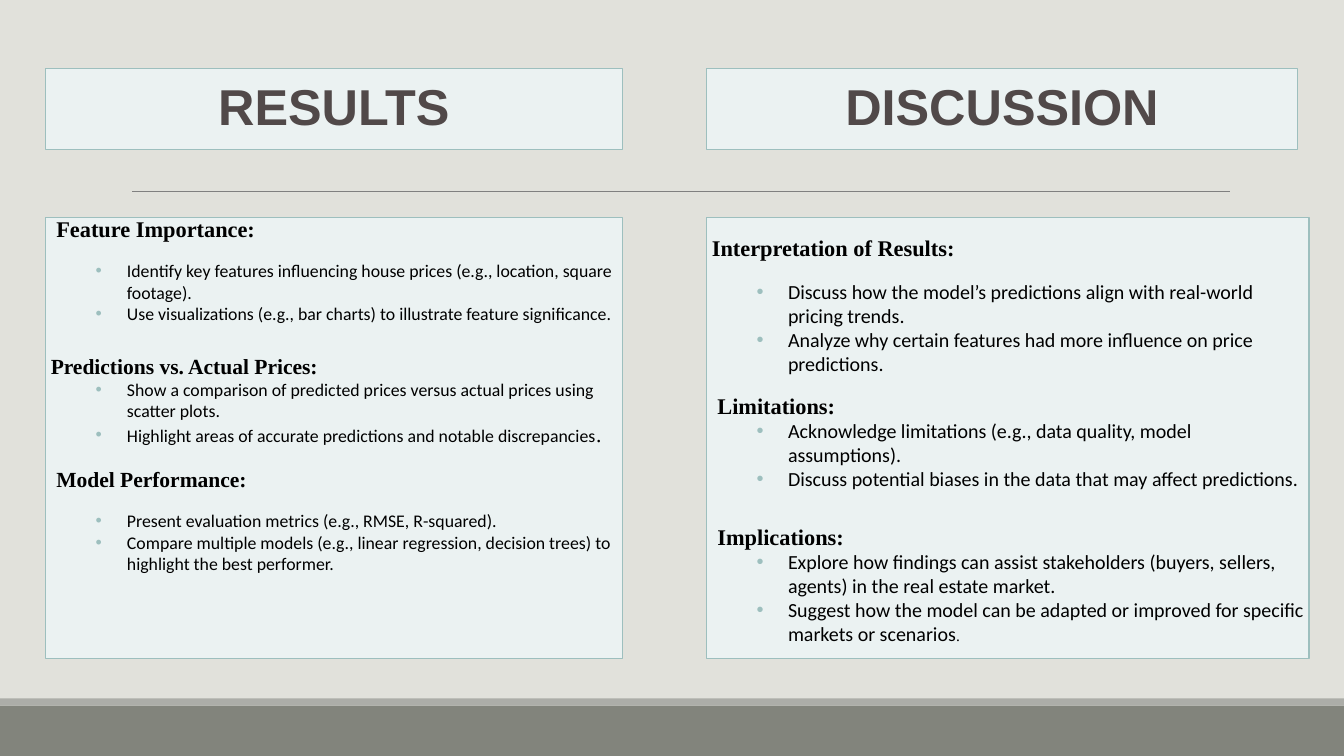
from lxml.etree import SubElement
from pptx import Presentation
from pptx.dml.color import RGBColor
from pptx.enum.shapes import MSO_CONNECTOR, MSO_SHAPE
from pptx.enum.text import MSO_ANCHOR, PP_ALIGN
from pptx.oxml.ns import qn
from pptx.util import Cm, Pt


def color(value):
    return RGBColor.from_string(value)


def add_text(paragraph, text, font="Calibri", size=12.7, ink="000000", bold=False,
             align=PP_ALIGN.LEFT, spacing=1.0, before=0, after=0,
             margin=0, indent=0, bullet=None):
    paragraph.alignment = align
    paragraph.line_spacing = spacing
    paragraph.space_before = Pt(before)
    paragraph.space_after = Pt(after)
    run = paragraph.add_run()
    run.text = text
    run.font.name = font
    run.font.size = Pt(size)
    run.font.bold = bold
    run.font.color.rgb = color(ink)
    properties = paragraph._p.get_or_add_pPr()
    properties.set("marL", str(Cm(margin)))
    properties.set("indent", str(Cm(indent)))
    if bullet:
        bullet_color = SubElement(properties, qn("a:buClr"))
        SubElement(bullet_color, qn("a:srgbClr"), val="9DBFBE")
        SubElement(properties, qn("a:buFont"), typeface="Arial")
        SubElement(properties, qn("a:buChar"), char=bullet)


presentation = Presentation()
presentation.slide_width = Cm(33.87)
presentation.slide_height = Cm(19.05)
slide = presentation.slides.add_slide(presentation.slide_layouts[6])
slide.background.fill.solid()
slide.background.fill.fore_color.rgb = color("E1E1DB")

for top, height, fill in [(17.78, 1.27, "82847C"), (17.6, 0.18, "ACADA8")]:
    band = slide.shapes.add_shape(
        MSO_SHAPE.RECTANGLE, 0, Cm(top), presentation.slide_width, Cm(height))
    band.shadow.inherit = False
    band.fill.solid()
    band.fill.fore_color.rgb = color(fill)
    band.line.fill.background()

divider = slide.shapes.add_connector(
    MSO_CONNECTOR.STRAIGHT, Cm(3.33), Cm(4.82), Cm(31), Cm(4.82))
divider.line.color.rgb = color("808080")
divider.line.width = Pt(0.5)
SubElement(divider._element.spPr, qn("a:effectLst"))

# Each section: heading, heading size, left margin, space above, space below, bullets
columns = [
    {"title": "RESULTS", "left": 1.14, "title_width": 14.55, "body_width": 14.55,
     "inset": 0.13, "size": 12.7, "sections": [
         ("Feature Importance:", 16, 0.28, 0, 13.2, [
             "Identify key features influencing house prices (e.g., location, square footage).",
             "Use visualizations (e.g., bar charts) to illustrate feature significance."]),
         ("Predictions vs. Actual Prices:", 15.4, 0.14, 26, 0, [
             "Show a comparison of predicted prices versus actual prices using scatter plots.",
             "Highlight areas of accurate predictions and notable discrepancies|."]),
         ("Model Performance:", 15.4, 0.28, 18.8, 13.2, [
             "Present evaluation metrics (e.g., RMSE, R-squared).",
             "Compare multiple models (e.g., linear regression, decision trees) "
             "to highlight the best performer."])],
     "stop_size": 15.4},
    {"title": "DISCUSSION", "left": 17.8, "title_width": 14.91, "body_width": 15.19,
     "inset": 0.6, "size": 14.3, "sections": [
         ("Interpretation of Results:", 16, 0.14, 0, 14, [
             "Discuss how the model’s predictions align with real-world pricing trends.",
             "Analyze why certain features had more influence on price predictions."]),
         ("Limitations:", 16, 0.28, 17, 0, [
             "Acknowledge limitations (e.g., data quality, model assumptions).",
             "Discuss potential biases in the data that may affect predictions."]),
         ("Implications:", 16, 0.28, 29, 0, [
             "Explore how findings can assist stakeholders (buyers, sellers, agents) "
             "in the real estate market.",
             "Suggest how the model can be adapted or improved for specific "
             "markets or scenarios|."])],
     "stop_size": 11},
]

for column in columns:
    frames = []
    for top, width, height in [(1.72, column["title_width"], 2.06),
                               (5.48, column["body_width"], 11.12)]:
        panel = slide.shapes.add_shape(
            MSO_SHAPE.RECTANGLE, Cm(column["left"]), Cm(top), Cm(width), Cm(height))
        panel.shadow.inherit = False
        panel.fill.solid()
        panel.fill.fore_color.rgb = color("EBF2F2")
        panel.line.color.rgb = color("9DBFBE")
        panel.line.width = Pt(0.75)
        panel.text_frame.word_wrap = True
        frames.append(panel.text_frame)

    title, body = frames
    title.vertical_anchor = MSO_ANCHOR.MIDDLE
    add_text(title.paragraphs[0], column["title"], font="Arial", size=36, ink="514949",
             bold=True, align=PP_ALIGN.CENTER, spacing=0.9, before=12, after=2)

    body.vertical_anchor = MSO_ANCHOR.TOP
    body.margin_left = body.margin_right = 0
    body.margin_top = Cm(column["inset"])
    body.margin_bottom = Cm(0.13)
    paragraph = body.paragraphs[0]
    for heading, heading_size, margin, above, below, points in column["sections"]:
        if paragraph.runs:
            paragraph = body.add_paragraph()
        add_text(paragraph, heading, font="Times New Roman", size=heading_size, bold=True,
                 spacing=0.7, before=above, after=below, margin=margin)
        for point in points:
            sentence, _, stop = point.partition("|")
            paragraph = body.add_paragraph()
            add_text(paragraph, sentence, size=column["size"],
                     margin=2.06, indent=-0.79, bullet="•")
            if stop:
                run = paragraph.add_run()
                run.text = stop
                run.font.name = "Times New Roman"
                run.font.size = Pt(column["stop_size"])
                run.font.color.rgb = color("000000")

presentation.save("out.pptx")
